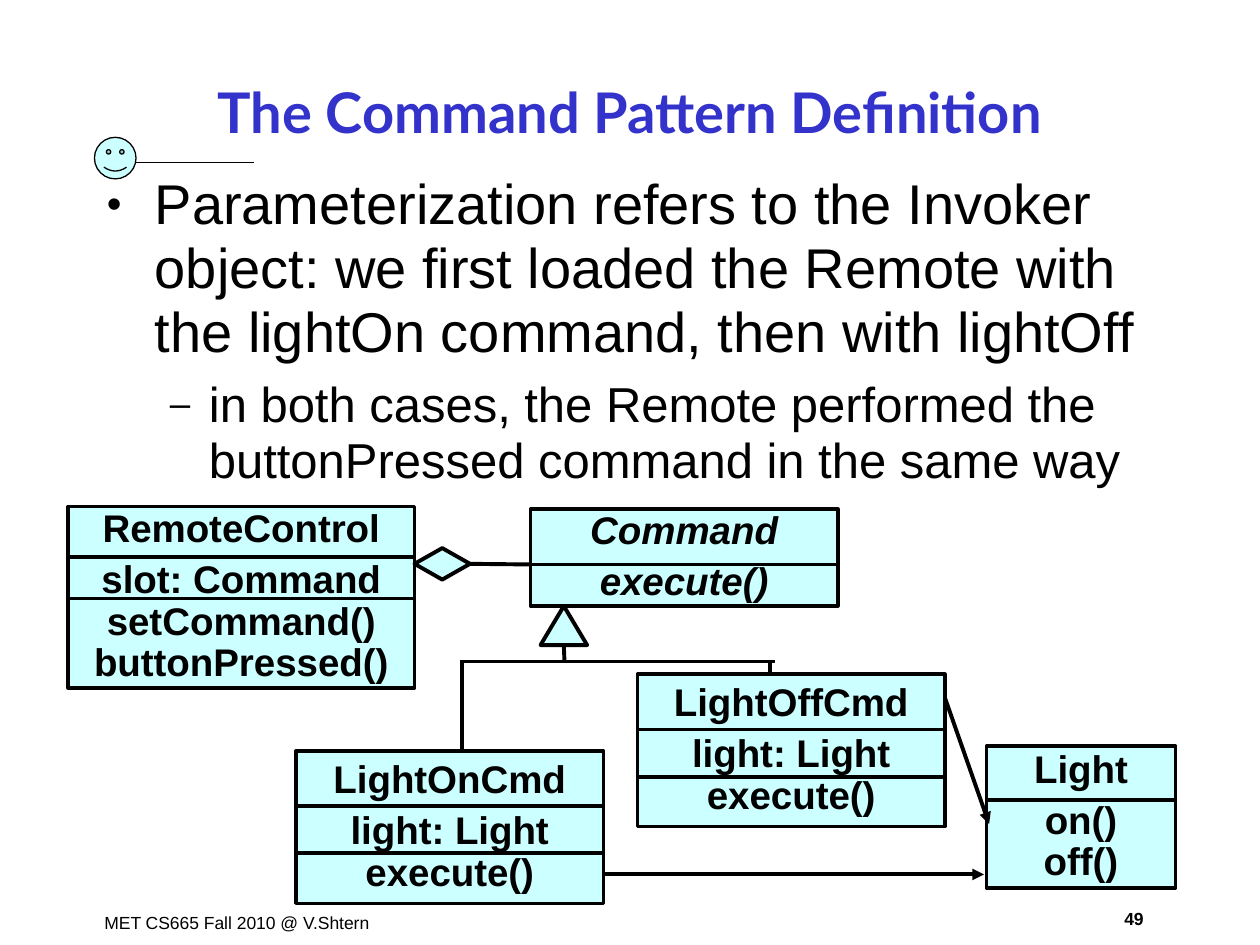
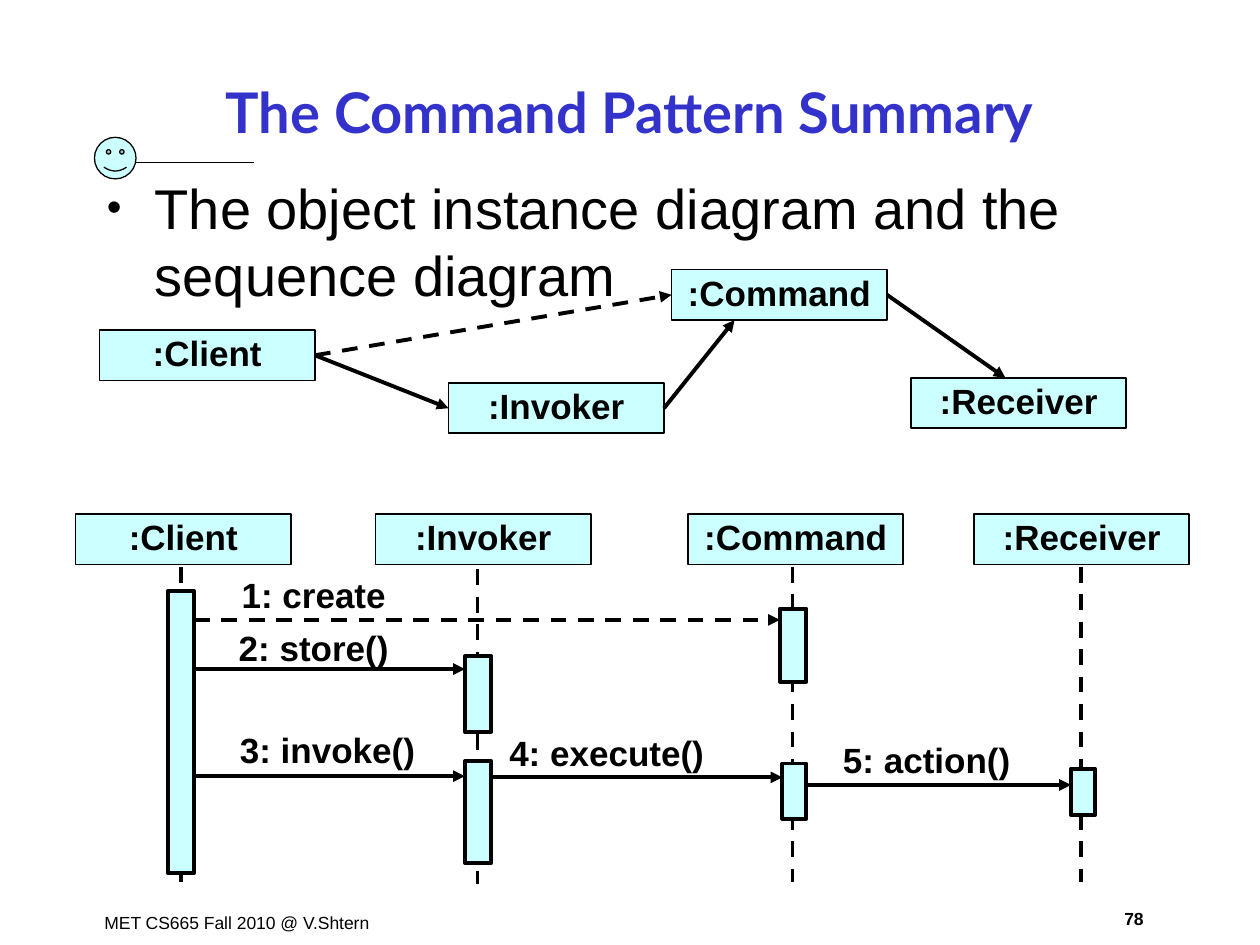
"""Build two command pattern slides: a class diagram and a sequence diagram."""
from dataclasses import dataclass
from typing import Any

from lxml import etree
from pptx import Presentation
from pptx import util as u
from pptx.dml.color import RGBColor
from pptx.enum import dml, shapes, text
from pptx.oxml.ns import qn

BLACK = RGBColor(0x00, 0x00, 0x00)
TITLE_BLUE = RGBColor(0x33, 0x33, 0xCC)
PALE_CYAN = RGBColor(0xCC, 0xFF, 0xFF)
BODY_FONT = "Arial"
TITLE_FONT = "Lato"
HEAVY = 2.25
FOOTER = "MET CS665 Fall 2010 @ V.Shtern"
OBJECT_SIZE = (1.71, 0.4)
LIFELINE_LENGTH = 2.5
TOP, LEFT, BOTTOM, RIGHT = range(4)
CENTER = text.PP_ALIGN.CENTER
MIDDLE = text.MSO_ANCHOR.MIDDLE
SHAPE = shapes.MSO_SHAPE

Point = tuple[float, float]
Box = tuple[float, float, float, float]


@dataclass(frozen=True)
class TextStyle:
    """Font and paragraph format values."""

    font: dict[str, Any]
    paragraph: dict[str, Any]
    color: RGBColor = BLACK


@dataclass(frozen=True)
class Bullet:
    """A bullet level: its sign, indents in inches and text size."""

    sign: str
    margin: float
    hanging: float
    size: int
    space_before: int


@dataclass(frozen=True)
class ClassBox:
    """A class with its text lines and the heights of its dividers."""

    box: Box
    lines: tuple[str, ...]
    dividers: tuple[float, ...]
    italic: bool = False


@dataclass(frozen=True)
class Lifeline:
    """A sequence participant: header left, lifeline position, activation bars."""

    name: str
    left: float
    start: Point
    activations: tuple[Box, ...]


@dataclass(frozen=True)
class Message:
    """A labelled arrow between activation bars."""

    label: str
    label_box: Box
    start: Point
    end_x: float
    dashed: bool = False


def style(size: int, name: str = BODY_FONT, bold: bool = True, italic: bool = False,
          color: RGBColor = BLACK, **paragraph: Any) -> TextStyle:
    """Return a text style with the given format values."""
    font = {"size": u.Pt(size), "name": name, "bold": bold, "italic": italic}
    return TextStyle(font, paragraph, color)


TITLE = style(32, TITLE_FONT, color=TITLE_BLUE, alignment=CENTER)
FOOTER_STYLE = style(10, bold=False)
NUMBER_STYLE = style(10, alignment=CENTER)
OBJECT_STYLE = style(20, alignment=CENTER, line_spacing=0.9)
BULLETS = (Bullet("•", 0.38, 0.38, 32, 8), Bullet("–", 0.81, 0.31, 28, 7))

CLASSES = {
    "remote": ClassBox((0.54, 4.02, 2.75, 1.44),
                       ("RemoteControl", "slot: Command", "setCommand()", "buttonPressed()"),
                       (0.4, 0.73)),
    "off": ClassBox((5.06, 5.35, 2.44, 1.21),
                    ("LightOffCmd", "light: Light", "execute()"), (0.44, 0.82)),
    "light": ClassBox((7.83, 5.92, 1.5, 1.13), ("Light", "on()", "off()"), (0.43,)),
    "command": ClassBox((4.21, 4.04, 2.44, 0.77), ("Command", "execute()"), (0.44,), True),
    "on": ClassBox((2.35, 5.96, 2.44, 1.21),
                   ("LightOnCmd", "light: Light", "execute()"), (0.44, 0.81)),
}
INSTANCES = {":Client": (0.79, 2.62), ":Invoker": (3.56, 3.04),
             ":Command": (5.33, 2.14), ":Receiver": (7.23, 3.0)}
LIFELINES = (
    Lifeline(":Client", 0.6, (1.44, 4.5), ((1.33, 4.69, 0.21, 2.24),)),
    Lifeline(":Invoker", 2.98, (3.79, 4.52),
             ((3.69, 5.21, 0.21, 0.6), (3.69, 6.04, 0.21, 0.81))),
    Lifeline(":Command", 5.46, (6.29, 4.5),
             ((6.19, 4.83, 0.21, 0.58), (6.21, 6.06, 0.19, 0.44))),
    Lifeline(":Receiver", 7.73, (8.58, 4.5), ((8.5, 6.1, 0.19, 0.37),)),
)
MESSAGES = (
    Message("1: create", (1.77, 4.54, 1.44, 0.4), (1.54, 4.92), 6.19, True),
    Message("2: store()", (1.77, 4.96, 1.44, 0.4), (1.54, 5.31), 3.69),
    Message("3: invoke()", (1.78, 5.77, 1.64, 0.4), (1.54, 6.16), 3.69),
    Message("4: execute()", (3.92, 5.79, 1.79, 0.4), (3.9, 6.17), 6.21),
    Message("5: action()", (6.46, 5.85, 1.79, 0.4), (6.4, 6.23), 8.5),
)


def apply(target: Any, values: dict[str, Any]) -> None:
    """Set each format value on the target."""
    for name, value in values.items():
        setattr(target, name, value)


def write(shape: Any, lines: tuple[str, ...], look: TextStyle, wrap: bool = True,
          anchor: Any = MIDDLE) -> list[Any]:
    """Write one paragraph per line and return the paragraphs."""
    frame = shape.text_frame
    apply(frame, {"word_wrap": wrap, "vertical_anchor": anchor})
    frame.text = "\n".join(lines)
    for paragraph in frame.paragraphs:
        apply(paragraph, look.paragraph)
        apply(paragraph.font, look.font)
        paragraph.font.color.rgb = look.color
    return list(frame.paragraphs)


def add_text(slide: Any, box: Box, line: str, look: TextStyle, anchor: Any = MIDDLE) -> None:
    """Add a text box with one paragraph."""
    shape = slide.shapes.add_textbox(*map(u.Inches, box))
    write(shape, (line,), look, anchor=anchor)


def add_figure(slide: Any, kind: Any, box: Box, width: float = HEAVY) -> Any:
    """Add a pale cyan shape with a black outline."""
    shape = slide.shapes.add_shape(kind, *map(u.Inches, box))
    shape.shadow.inherit = False
    shape.fill.solid()
    shape.fill.fore_color.rgb = PALE_CYAN
    shape.line.color.rgb = BLACK
    shape.line.width = u.Pt(width)
    return shape


def add_line(slide: Any, start: Point, end: Point, width: float = HEAVY,
             dashed: bool = False, arrow: bool = False) -> Any:
    """Add a black straight connector."""
    connector = slide.shapes.add_connector(
        shapes.MSO_CONNECTOR.STRAIGHT, *map(u.Inches, start + end))
    connector.line.color.rgb = BLACK
    connector.line.width = u.Pt(width)
    if dashed:
        connector.line.dash_style = dml.MSO_LINE.DASH
    properties = connector.element.spPr
    if arrow:
        etree.SubElement(properties.find(qn("a:ln")), qn("a:tailEnd"), type="triangle")
    etree.SubElement(properties, qn("a:effectLst"))
    return connector


def add_bullets(slide: Any, lines: tuple[str, ...], line_spacing: float) -> None:
    """Add the body text, one bullet level per line."""
    shape = slide.shapes.add_textbox(*map(u.Inches, (0.75, 1.33, 8.5, 5.76)))
    look = style(32, bold=False, line_spacing=line_spacing)
    paragraphs = write(shape, lines, look, anchor=text.MSO_ANCHOR.TOP)
    for paragraph, bullet in zip(paragraphs, BULLETS):
        paragraph.font.size = u.Pt(bullet.size)
        paragraph.space_before = u.Pt(bullet.space_before)
        properties = paragraph._p.get_or_add_pPr()
        properties.set("marL", str(u.Inches(bullet.margin)))
        properties.set("indent", str(-u.Inches(bullet.hanging)))
        color = etree.SubElement(properties, qn("a:buClr"))
        etree.SubElement(color, qn("a:srgbClr"), val=str(BLACK))
        etree.SubElement(properties, qn("a:buSzPct"), val="75000")
        etree.SubElement(properties, qn("a:buFont"), typeface=BODY_FONT)
        etree.SubElement(properties, qn("a:buChar"), char=bullet.sign)


def add_slide(presentation: Any, title: str, number: int) -> Any:
    """Add a blank slide with the shared title, ornament and footer."""
    slide = presentation.slides.add_slide(presentation.slide_layouts[6])
    top = text.MSO_ANCHOR.TOP
    add_text(slide, (0.73, 7.19, 2.41, 0.27), FOOTER, FOOTER_STYLE, top)
    add_text(slide, (8.73, 7.16, 0.54, 0.27), str(number), NUMBER_STYLE, top)
    face = add_figure(slide, SHAPE.SMILEY_FACE, (0.75, 1.09, 0.33, 0.33), 0.75)
    face.adjustments[0] = 0.09
    add_line(slide, (1.08, 1.29), (2.02, 1.29), 1)
    add_text(slide, (0.75, 0.48, 8.5, 0.8), title, TITLE)
    return slide


def add_class(slide: Any, item: ClassBox) -> None:
    """Draw a class box with its dividers."""
    left, top, width, _ = item.box
    shape = add_figure(slide, SHAPE.RECTANGLE, item.box, 2)
    look = style(22, italic=item.italic, alignment=CENTER, line_spacing=0.9)
    paragraphs = write(shape, item.lines, look, wrap=False)
    paragraphs[1].space_before = u.Pt(5.5)
    for offset in item.dividers:
        add_line(slide, (left, top + offset), (left + width, top + offset))


def add_object(slide: Any, name: str, corner: Point) -> Any:
    """Draw a named object box and return it."""
    shape = add_figure(slide, SHAPE.RECTANGLE, corner + OBJECT_SIZE, 1)
    write(shape, (name,), OBJECT_STYLE)
    return shape


def build_definition(presentation: Any) -> None:
    """Build the class diagram slide."""
    slide = add_slide(presentation, "The Command Pattern Definition", 49)
    add_bullets(slide, (
        "Parameterization refers to the Invoker object: we first loaded the Remote with "
        "the lightOn command, then with lightOff",
        "in both cases, the Remote performed the buttonPressed command in the same way",
    ), 0.95)
    for item in CLASSES.values():
        add_class(slide, item)
    diamond = add_figure(slide, SHAPE.FLOWCHART_DECISION, (3.29, 4.35, 0.44, 0.25))
    add_line(slide, (3.73, 4.48), (4.21, 4.48)).begin_connect(diamond, RIGHT)
    triangle = add_figure(slide, SHAPE.FLOWCHART_EXTRACT, (4.29, 4.81, 0.37, 0.31))
    add_line(slide, (4.48, 5.12), (4.48, 5.25)).begin_connect(triangle, BOTTOM)
    add_line(slide, (3.65, 5.25), (6.15, 5.25))
    for x, name in ((3.67, "on"), (6.11, "off")):
        add_line(slide, (x, 5.25), (x, CLASSES[name].box[1]))
    add_line(slide, (7.5, 5.54), (7.85, 6.54), arrow=True)
    add_line(slide, (4.79, 6.94), (7.81, 6.94), arrow=True)


def build_summary(presentation: Any) -> None:
    """Build the object instance and sequence diagram slide."""
    slide = add_slide(presentation, "The Command Pattern Summary", 78)
    add_bullets(slide, ("The object instance diagram and the sequence diagram",), 1.0)
    client, invoker, command, _ = [
        add_object(slide, name, corner) for name, corner in INSTANCES.items()]
    creates = add_line(slide, (2.5, 2.82), (5.33, 2.34), dashed=True, arrow=True)
    stores = add_line(slide, (2.5, 2.82), (3.56, 3.24), arrow=True)
    for connector, target in ((creates, command), (stores, invoker)):
        connector.begin_connect(client, RIGHT)
        connector.end_connect(target, LEFT)
    add_line(slide, (5.27, 3.24), (5.83, 2.54), arrow=True).begin_connect(invoker, RIGHT)
    add_line(slide, (7.04, 2.34), (7.98, 3.0), arrow=True).begin_connect(command, RIGHT)

    for lifeline in LIFELINES:
        add_object(slide, lifeline.name, (lifeline.left, 4.08))
        x, y = lifeline.start
        add_line(slide, (x, y), (x, y + LIFELINE_LENGTH), dashed=True)
        for box in lifeline.activations:
            add_figure(slide, SHAPE.RECTANGLE, box)
    for message in MESSAGES:
        end = (message.end_x, message.start[1])
        add_line(slide, message.start, end, dashed=message.dashed, arrow=True)
        add_text(slide, message.label_box, message.label, OBJECT_STYLE)


def main() -> None:
    """Build and save the presentation."""
    presentation = Presentation()
    presentation.slide_width = u.Inches(10)
    presentation.slide_height = u.Inches(7.5)
    build_definition(presentation)
    build_summary(presentation)
    presentation.save("out.pptx")


if __name__ == "__main__":
    main()
